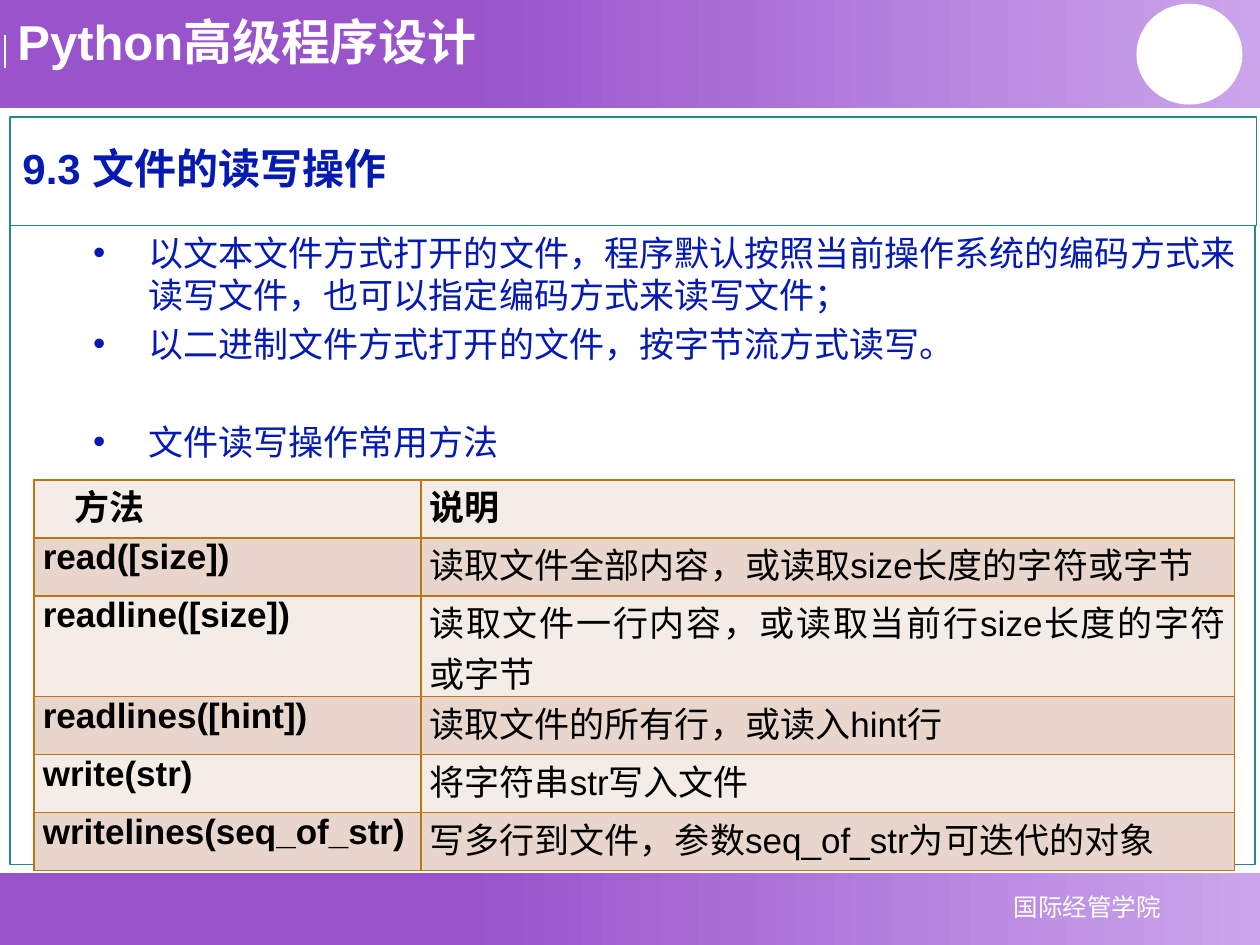
from lxml.etree import SubElement
from pptx import Presentation
from pptx.dml.color import RGBColor
from pptx.enum.shapes import MSO_CONNECTOR, MSO_SHAPE
from pptx.enum.text import MSO_ANCHOR as Anchor, PP_ALIGN as Align
from pptx.oxml.ns import qn
from pptx.util import Inches, Pt

PURPLE = RGBColor(0x99, 0x54, 0xCC)
LILAC = RGBColor(0xCB, 0xA5, 0xEB)
WHITE = RGBColor(0xFF, 0xFF, 0xFF)
BLACK = RGBColor(0, 0, 0)
TEAL = RGBColor(0x22, 0x8A, 0x88)
BLUE = RGBColor(0x05, 0x1A, 0xB3)
BROWN = RGBColor(0xBD, 0x75, 0x10)
ROW_FILLS = (RGBColor(0xF4, 0xEC, 0xE7), RGBColor(0xE8, 0xD6, 0xCC))

BULLETS = [
    "以文本文件方式打开的文件，程序默认按照当前操作系统的编码方式来读写文件，也可以指定编码方式来读写文件；",
    "以二进制文件方式打开的文件，按字节流方式读写。",
    "文件读写操作常用方法",
]
METHODS = [
    ("方法", "说明"),
    ("read([size])", "读取文件全部内容，或读取size长度的字符或字节"),
    ("readline([size])", "读取文件一行内容，或读取当前行size长度的字符或字节"),
    ("readlines([hint])", "读取文件的所有行，或读入hint行"),
    ("write(str)", "将字符串str写入文件"),
    ("writelines(seq_of_str)", "写多行到文件，参数seq_of_str为可迭代的对象"),
]
ROW_HEIGHTS = (0.46, 0.46, 0.8, 0.46, 0.46, 0.46)


def style(para, size, color, bold=False):
    font = para.font
    font.name, font.size, font.bold = "Arial", Pt(size), bold
    font.color.rgb = color


def add_text(page, box, text, size, color, bold=False, anchor=Anchor.TOP, align=Align.LEFT):
    shape = page.shapes.add_textbox(*map(Inches, box))
    frame = shape.text_frame
    frame.word_wrap = True
    frame.vertical_anchor = anchor
    para = frame.paragraphs[0]
    para.text = text
    para.alignment = align
    style(para, size, color, bold)
    return shape


def add_band(page, box):
    band = page.shapes.add_shape(MSO_SHAPE.RECTANGLE, *map(Inches, box))
    band.shadow.inherit = False
    band.line.fill.background()
    band.fill.gradient()
    band.fill.gradient_angle = 0
    for stop, position, color in zip(band.fill.gradient_stops, (0.37, 1), (PURPLE, LILAC)):
        stop.position = position
        stop.color.rgb = color


def add_header(page, box):
    left, top, width, _ = box
    add_band(page, box)
    x = Inches(left + 0.04)
    tick = page.shapes.add_connector(
        MSO_CONNECTOR.STRAIGHT, x, Inches(top + 0.28), x, Inches(top + 0.54))
    tick.line.color.rgb = WHITE
    tick.line.width = Pt(0.75)
    SubElement(tick._element.spPr, qn("a:effectLst"))
    add_text(page, (left + 0.04, top + 0.04, 4.1, 0.57), "Python高级程序设计", 28, WHITE, True)
    disc = page.shapes.add_shape(
        MSO_SHAPE.OVAL, *map(Inches, (left + width - 0.98, top + 0.03, 0.84, 0.8)))
    disc.shadow.inherit = False
    disc.fill.solid()
    disc.fill.fore_color.rgb = WHITE
    disc.line.fill.background()


def add_footer(page, box):
    left, top, _, _ = box
    add_band(page, box)
    add_text(page, (left + 7.47, top + 0.1, 2.32, 0.34), "国际经管学院", 14, WHITE,
             anchor=Anchor.MIDDLE, align=Align.CENTER)


def outline(shape):
    shape.line.color.rgb = TEAL
    shape.line.width = Pt(0.75)


def add_title(page, box):
    title = add_text(page, box, "9.3 文件的读写操作", 24, BLUE, True, Anchor.MIDDLE)
    title.text_frame.paragraphs[0].line_spacing = 0.9
    outline(title)


def add_bullets(page, box):
    body = page.shapes.add_textbox(*map(Inches, box))
    outline(body)
    frame = body.text_frame
    frame.word_wrap = True
    for index, text in enumerate(BULLETS):
        para = frame.add_paragraph() if index else frame.paragraphs[0]
        para.text = text
        para.space_after = Pt(4)
        props = para._p.get_or_add_pPr()
        props.set("marL", str(Inches(1)))
        props.set("indent", str(-Inches(0.44)))
        SubElement(props, qn("a:buFont"), typeface="Arial")
        SubElement(props, qn("a:buChar"), char="•")
        style(para, 20, BLUE)
    para.space_before = Pt(28)


def add_borders(cell):
    props = cell._tc.get_or_add_tcPr()
    for side in ("lnL", "lnR", "lnT", "lnB"):
        line = SubElement(props, qn(f"a:{side}"), w=str(Pt(1)))
        fill = SubElement(line, qn("a:solidFill"))
        SubElement(fill, qn("a:srgbClr"), val=str(BROWN))


def add_methods_table(page, box):
    table = page.shapes.add_table(len(METHODS), 2, *map(Inches, box)).table
    for column, width in zip(table.columns, (3.07, 6.46)):
        column.width = Inches(width)
    for r, (texts, height) in enumerate(zip(METHODS, ROW_HEIGHTS)):
        table.rows[r].height = Inches(height)
        for c, text in enumerate(texts):
            cell = table.cell(r, c)
            add_borders(cell)
            cell.fill.solid()
            cell.fill.fore_color.rgb = ROW_FILLS[r % 2]
            cell.margin_left = cell.margin_right = Inches(0.07)
            cell.margin_top = cell.margin_bottom = 0
            para = cell.text_frame.paragraphs[0]
            para.text = text
            para.alignment = Align.JUSTIFY
            para.space_after = Pt(1.2)
            style(para, 20, BLACK, bold=r == 0 or c == 0)
    heading = table.cell(0, 0).text_frame.paragraphs[0]
    heading._p.get_or_add_pPr().set("indent", str(Inches(0.25)))


def main():
    deck = Presentation()
    deck.slide_width, deck.slide_height = Inches(10), Inches(7.5)
    page = deck.slides.add_slide(deck.slide_layouts[6])
    add_footer(page, (0, 6.93, 10, 0.57))
    add_header(page, (0, 0, 10, 0.86))
    add_title(page, (0.08, 0.93, 9.89, 0.86))
    add_bullets(page, (0.08, 1.79, 9.88, 5.07))
    add_methods_table(page, (0.27, 3.81, 9.53, sum(ROW_HEIGHTS)))
    deck.save("out.pptx")


if __name__ == "__main__":
    main()
